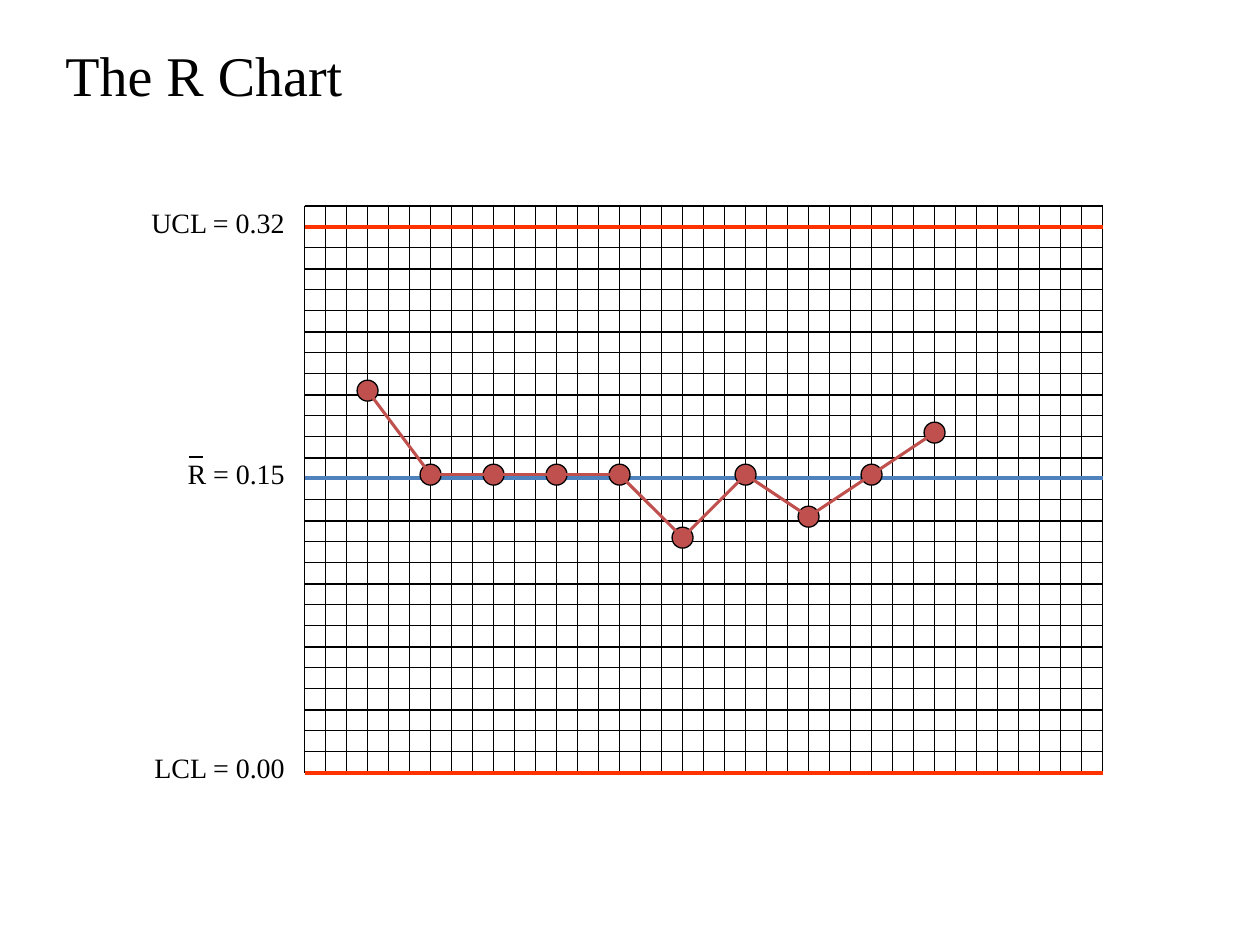
from dataclasses import dataclass
from itertools import pairwise

from lxml import etree
from pptx import Presentation
from pptx import util as u
from pptx.dml.color import RGBColor
from pptx.enum import shapes, text
from pptx.oxml.ns import qn


@dataclass(frozen=True)
class Theme:
    font: str = "Times New Roman"
    title_size: float = 32
    label_size: float = 16
    ink: str = "000000"
    limit: str = "FF3300"
    centre: str = "4F81BD"
    data: str = "C0504D"
    thin: float = 0.75
    medium: float = 1.75
    thick: float = 2


@dataclass(frozen=True)
class Grid:
    """Square graph paper, addressed in cells from its bottom left corner."""
    left: float = 6.14
    bottom: float = 15.58
    cell: float = 2.54 / 6
    columns: int = 38
    rows: int = 27

    def at(self, column: float, row: float) -> tuple[float, float]:
        return self.left + column * self.cell, self.bottom - row * self.cell


@dataclass(frozen=True)
class Level:
    label: str
    row: float
    color: str
    label_top: float
    label_width: float


THEME = Theme()
GRID = Grid()
LABEL_RIGHT = 5.99
LABEL_HEIGHT = 0.94
LEVELS = [
    Level("LCL = 0.00", 0, THEME.limit, 14.99, 3.61),
    Level("UCL = 0.32", 26, THEME.limit, 4.01, 3.66),
    Level("R = 0.15", 14.05, THEME.centre, 9.07, 3.43),
]
RANGE_ROWS = [18.2, 14.2, 14.2, 14.2, 14.2, 11.2, 14.2, 12.2, 14.2, 16.2]
SAMPLE_STEP = 3


def add_text(page, content: str, left: float, top: float, width: float, height: float,
             *, size: float, align=text.PP_ALIGN.LEFT) -> None:
    box = page.shapes.add_textbox(u.Cm(left), u.Cm(top), u.Cm(width), u.Cm(height))
    frame = box.text_frame
    frame.word_wrap = True
    frame.vertical_anchor = text.MSO_ANCHOR.BOTTOM
    para = frame.paragraphs[0]
    para.alignment = align
    span = para.add_run()
    span.text = content
    span.font.name = THEME.font
    span.font.size = u.Pt(size)
    span.font.color.rgb = RGBColor.from_string(THEME.ink)


def add_line(page, start: tuple[float, float], end: tuple[float, float],
             color: str, width: float) -> None:
    line = page.shapes.add_connector(
        shapes.MSO_CONNECTOR.STRAIGHT, *(u.Cm(value) for value in (*start, *end)))
    line.line.color.rgb = RGBColor.from_string(color)
    line.line.width = u.Pt(width)
    etree.SubElement(line._element.spPr, qn("a:effectLst"))


def add_marker(page, centre: tuple[float, float]) -> None:
    x, y = centre
    size = GRID.cell
    marker = page.shapes.add_shape(
        shapes.MSO_SHAPE.OVAL, u.Cm(x - size / 2), u.Cm(y - size / 2), u.Cm(size), u.Cm(size))
    marker.shadow.inherit = False
    marker.fill.solid()
    marker.fill.fore_color.rgb = RGBColor.from_string(THEME.data)
    marker.line.color.rgb = RGBColor.from_string(THEME.ink)
    marker.line.width = u.Pt(THEME.thin)


def add_grid(page) -> None:
    for column in range(GRID.columns + 1):
        add_line(page, GRID.at(column, GRID.rows), GRID.at(column, 0), THEME.ink, THEME.thin)
    for row in range(GRID.rows + 1):
        add_line(page, GRID.at(0, row), GRID.at(GRID.columns, row), THEME.ink, THEME.thin)


def main() -> None:
    deck = Presentation()
    deck.slide_width, deck.slide_height = u.Cm(25.4), u.Cm(19.05)
    page = deck.slides.add_slide(deck.slide_layouts[6])

    # Title and graph paper
    add_text(page, "The R Chart", 1.07, 0.64, 22.66, 1.65, size=THEME.title_size)
    add_grid(page)

    # Control limits and centre line
    for level in LEVELS:
        add_text(page, level.label, LABEL_RIGHT - level.label_width, level.label_top,
                 level.label_width, LABEL_HEIGHT,
                 size=THEME.label_size, align=text.PP_ALIGN.RIGHT)
    for level in LEVELS:
        add_line(page, GRID.at(0, level.row), GRID.at(GRID.columns, level.row),
                 level.color, THEME.thick)

    # Sample ranges
    points = [GRID.at(SAMPLE_STEP * number, row)
              for number, row in enumerate(RANGE_ROWS, start=1)]
    for point in points:
        add_marker(page, point)
    for start, end in pairwise(points):
        add_line(page, start, end, THEME.data, THEME.medium)

    # Bar over the R of the mean range
    add_line(page, (3.81, 9.21), (4.1, 9.21), THEME.ink, THEME.thin)

    deck.save("out.pptx")


if __name__ == "__main__":
    main()
